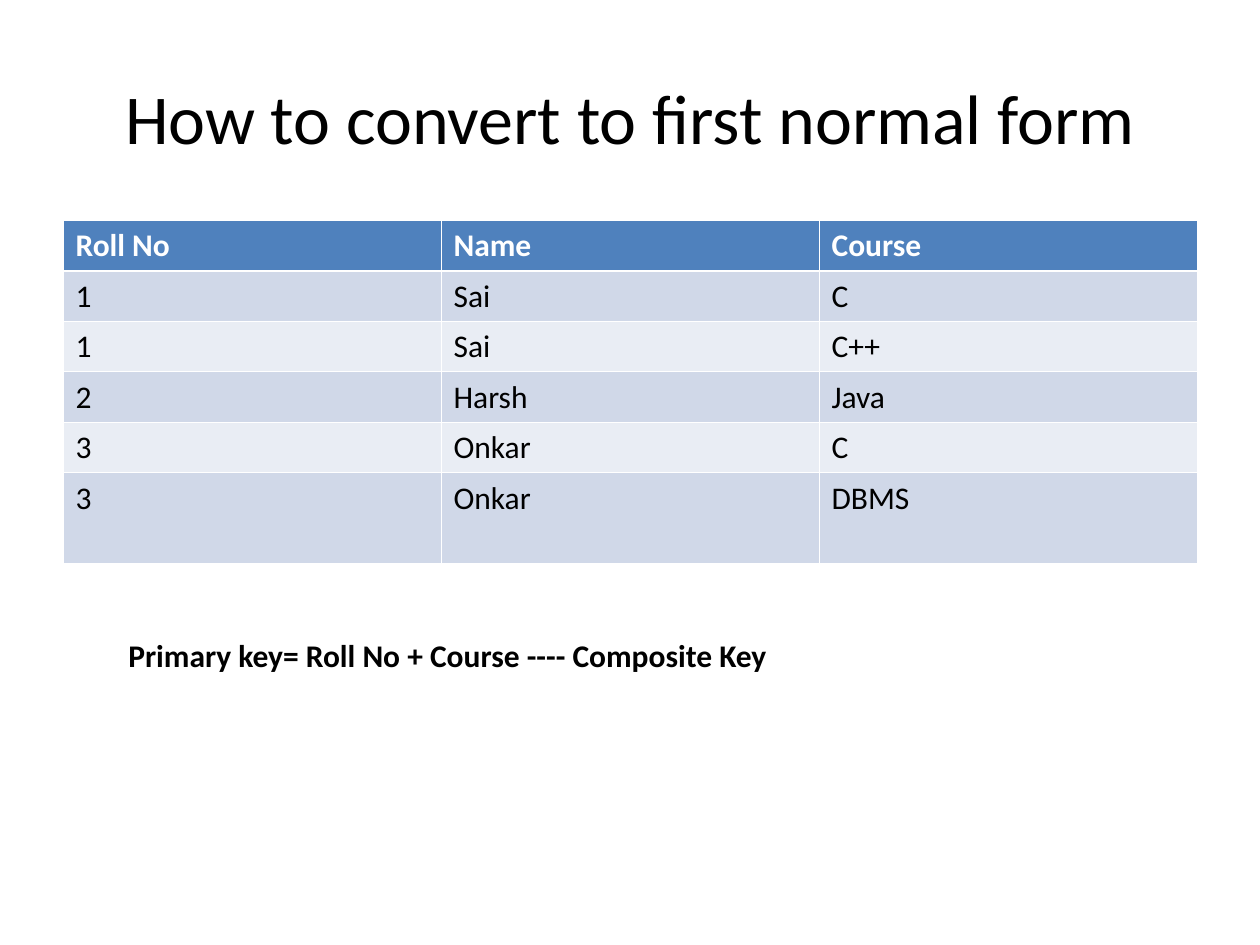
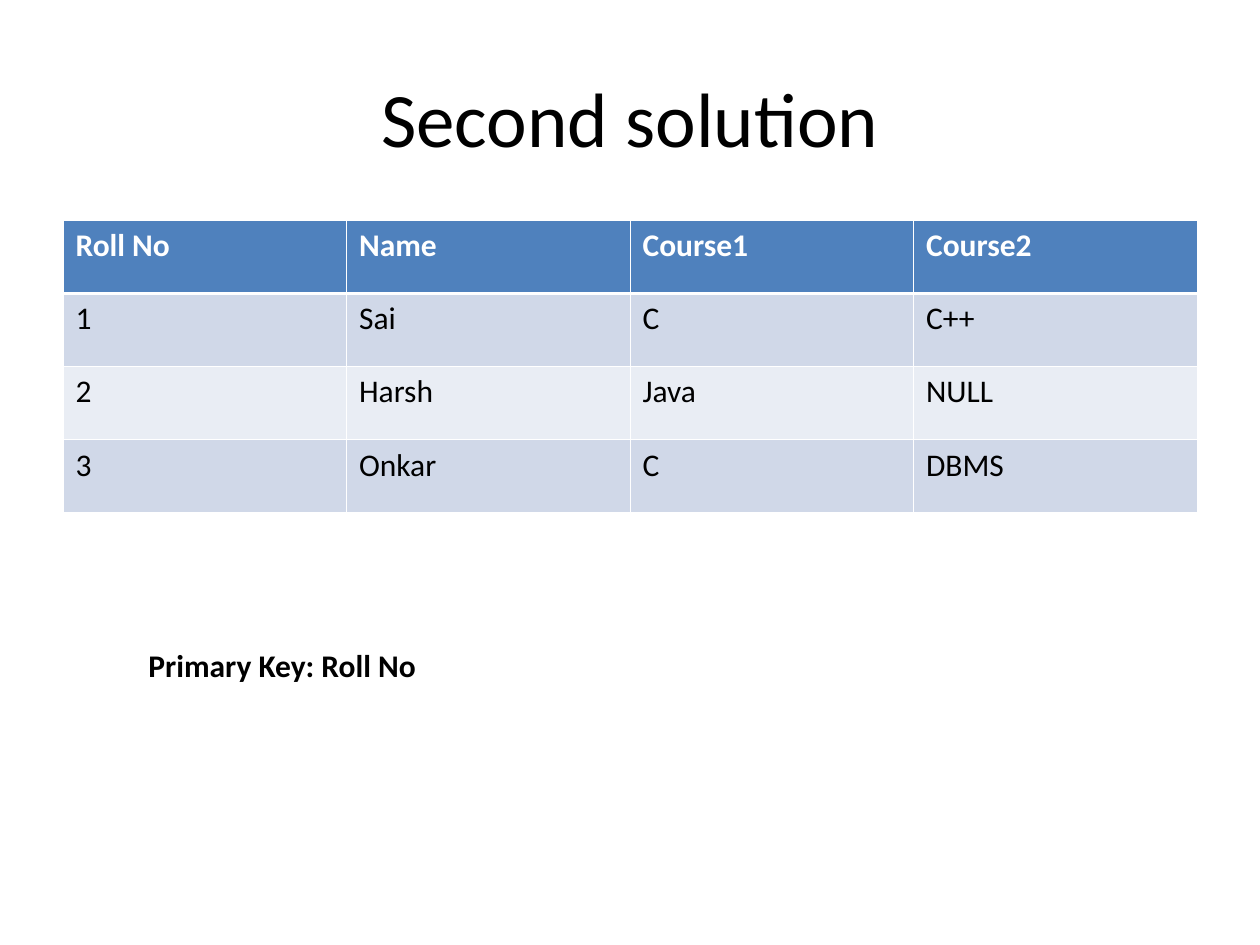
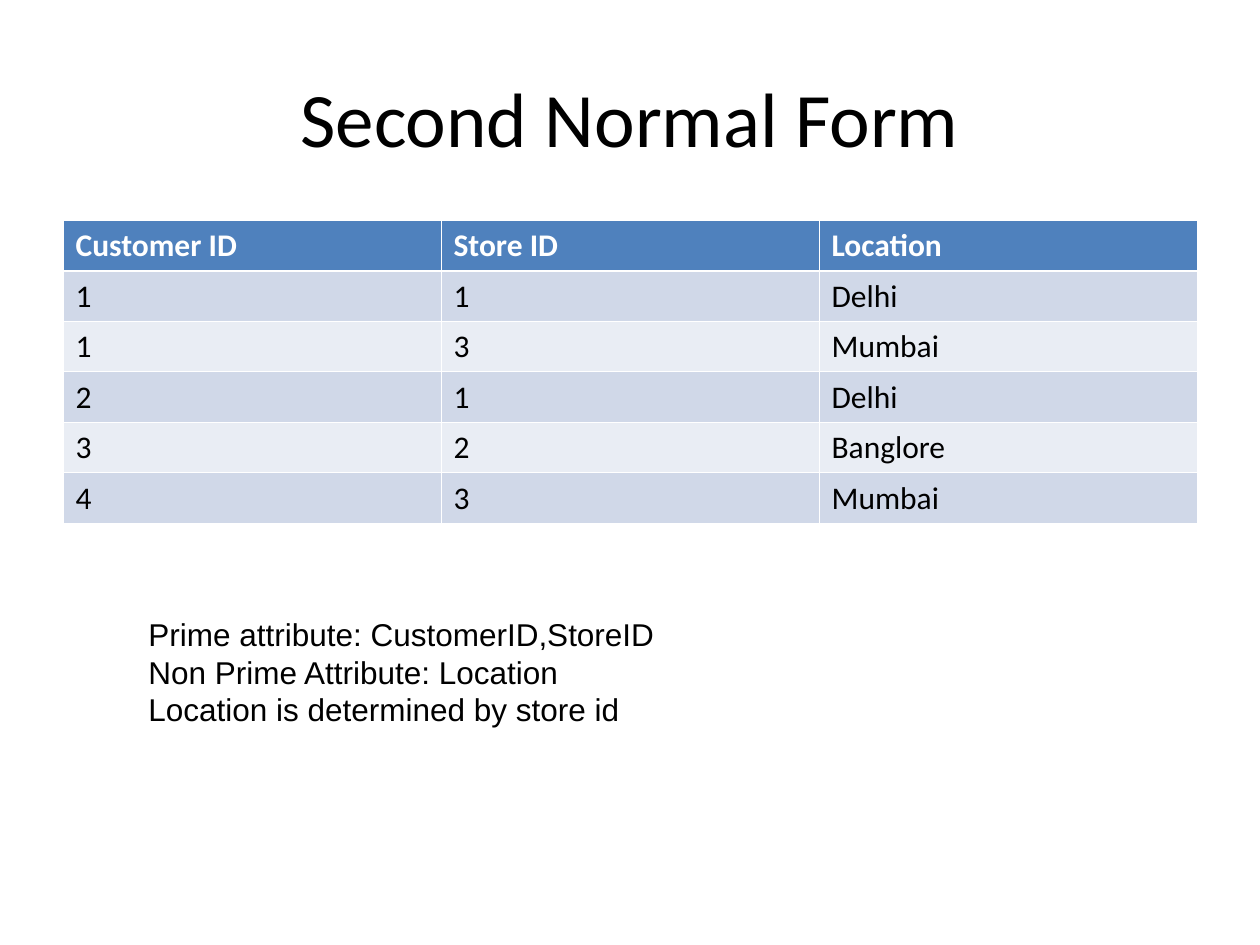
from lxml.etree import SubElement
from pptx import Presentation
from pptx.dml.color import RGBColor as RGB
from pptx.enum.text import MSO_ANCHOR as ANCHOR, MSO_AUTO_SIZE as AUTO, PP_ALIGN as ALIGN
from pptx.oxml.ns import qn
from pptx.util import Inches, Pt

C = {"text": "000000", "white": "FFFFFF", "header": "4F81BD",
     "band_dark": "D0D8E8", "band_light": "E9EDF4"}
THIN, THICK = 0.45, 1.47

SLIDES = [
    {"title": "How to convert to first normal form", "title_size": 40,
     "rows": [("Roll No", "Name", "Course"),
              ("1", "Sai", "C"),
              ("1", "Sai", "C++"),
              ("2", "Harsh", "Java"),
              ("3", "Onkar", "C"),
              ("3", "Onkar", "DBMS")],
     "heights": [0.4] * 5 + [0.72],
     "note": ["Primary key= Roll No + Course ---- Composite Key"],
     "note_at": (0.92, 5, 8.33, 0.4), "note_font": "Calibri", "note_bold": True},
    {"title": "Second solution", "title_size": 44,
     "rows": [("Roll No", "Name", "Course1", "Course2"),
              ("1", "Sai", "C", "C++"),
              ("2", "Harsh", "Java", "NULL"),
              ("3", "Onkar", "C", "DBMS")],
     "heights": [0.58] * 4,
     "note": ["Primary Key: Roll No"],
     "note_at": (1.08, 5.08, 6.25, 0.4), "note_font": "Calibri", "note_bold": True},
    {"title": "Second Normal Form", "title_size": 44,
     "rows": [("Customer ID", "Store ID", "Location"),
              ("1", "1", "Delhi"),
              ("1", "3", "Mumbai"),
              ("2", "1", "Delhi"),
              ("3", "2", "Banglore"),
              ("4", "3", "Mumbai")],
     "heights": [0.4] * 6,
     "note": ["Prime attribute: CustomerID,StoreID",
              "Non Prime Attribute: Location",
              "Location is determined by store id"],
     "note_at": (1.08, 4.83, 7.17, 1), "note_font": "Arial", "note_bold": False},
]


def write(tf, lines, size, font="Calibri", color="text", bold=False, align=ALIGN.LEFT):
    tf.text = "\n".join(lines)
    tf.word_wrap = True
    for p in tf.paragraphs:
        p.alignment = align
        for r in p.runs:
            r.font.name = font
            r.font.size = Pt(size)
            r.font.bold = bold
            r.font.color.rgb = RGB.from_string(C[color])


def add_borders(cell, top, bottom):
    tcPr = cell._tc.get_or_add_tcPr()
    for side, width in (("L", THIN), ("R", THIN), ("T", top), ("B", bottom)):
        ln = SubElement(tcPr, qn(f"a:ln{side}"), w=str(int(Pt(width))))
        SubElement(SubElement(ln, qn("a:solidFill")), qn("a:srgbClr"), val=C["white"])


prs = Presentation()
prs.slide_width, prs.slide_height = Inches(10), Inches(7.5)

for data in SLIDES:
    s = prs.slides.add_slide(prs.slide_layouts[6])

    title = s.shapes.add_textbox(Inches(0.5), Inches(0.3), Inches(9), Inches(1.25))
    title.text_frame.vertical_anchor = ANCHOR.MIDDLE
    write(title.text_frame, [data["title"]], data["title_size"], align=ALIGN.CENTER)

    rows, heights = data["rows"], data["heights"]
    n_cols = len(rows[0])
    table = s.shapes.add_table(len(rows), n_cols, Inches(0.5), Inches(1.75),
                               Inches(9), Inches(sum(heights))).table
    for col in table.columns:
        col.width = Inches(9 / n_cols)
    for i, row in enumerate(rows):
        table.rows[i].height = Inches(heights[i])
        band = "header" if i == 0 else "band_dark" if i % 2 else "band_light"
        for j, value in enumerate(row):
            cell = table.cell(i, j)
            write(cell.text_frame, [value], 18, color="text" if i else "white", bold=i == 0)
            add_borders(cell, THICK if i == 1 else THIN, THICK if i == 0 else THIN)
            cell.fill.solid()
            cell.fill.fore_color.rgb = RGB.from_string(C[band])

    note = s.shapes.add_textbox(*map(Inches, data["note_at"]))
    note.text_frame.auto_size = AUTO.SHAPE_TO_FIT_TEXT
    write(note.text_frame, data["note"], 18, data["note_font"], bold=data["note_bold"])

prs.save("out.pptx")
